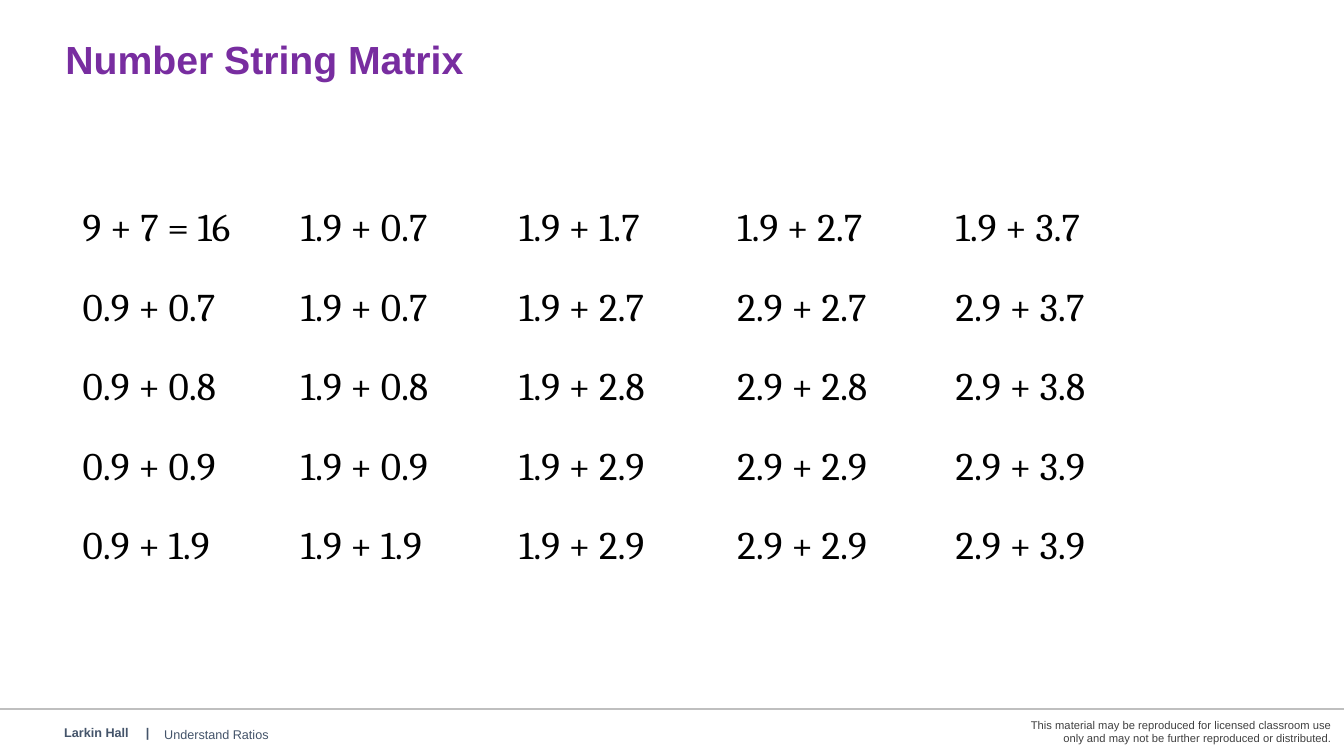
"""Build the Number String Matrix slide."""
import pptx
import pptx.dml.color
import pptx.enum.shapes
import pptx.enum.text
import pptx.util
from lxml import etree

Cm = pptx.util.Cm
Pt = pptx.util.Pt
ALIGN = pptx.enum.text.PP_ALIGN
ANCHOR = pptx.enum.text.MSO_ANCHOR

WIDTH, HEIGHT = 33.87, 19.05
FOOTER_Y = 17.86
TABLE_LEFT, TABLE_TOP = 1.83, 5.08
COLUMN_WIDTH, ROW_HEIGHT = 5.5, 2.0

SUMS = [
    ["9 + 7 = 16", "1.9 + 0.7", "1.9 + 1.7", "1.9 + 2.7", "1.9 + 3.7"],
    ["0.9 + 0.7", "1.9 + 0.7", "1.9 + 2.7", "2.9 + 2.7", "2.9 + 3.7"],
    ["0.9 + 0.8", "1.9 + 0.8", "1.9 + 2.8", "2.9 + 2.8", "2.9 + 3.8"],
    ["0.9 + 0.9", "1.9 + 0.9", "1.9 + 2.9", "2.9 + 2.9", "2.9 + 3.9"],
    ["0.9 + 1.9", "1.9 + 1.9", "1.9 + 2.9", "2.9 + 2.9", "2.9 + 3.9"],
]

FOOTER = dict(size=9, color="44546A")
LICENCE = ("This material may be reproduced for licensed classroom use "
           "only and may not be further reproduced or distributed.")
TEXTS = [
    ("Larkin Hall", (1.37, 18.14, 2.6, 0.91), dict(FOOTER, bold=True)),
    ("|", (3.43, 18.14, 0.6, 0.91), dict(FOOTER, bold=True)),
    ("Understand Ratios", (3.89, 18.19, 13.03, 0.91), FOOTER),
    (LICENCE, (25.17, 17.78, 8.64, 1.32),
     dict(size=8, color="404040", align=ALIGN.RIGHT, anchor=ANCHOR.MIDDLE)),
    ("Number String Matrix", (1.4, 0.89, 10.85, 1.83),
     dict(size=28, color="782DA0", bold=True, spacing=0.9)),
]


def rgb(code):
    return pptx.dml.color.RGBColor.from_string(code)


def write(tf, text, size, color, font="Arial", bold=False,
          align=ALIGN.LEFT, anchor=ANCHOR.TOP, spacing=1.0):
    tf.word_wrap = True
    tf.vertical_anchor = anchor
    p = tf.paragraphs[0]
    p.alignment = align
    p.line_spacing = spacing
    r = p.add_run()
    r.text = text
    r.font.name = font
    r.font.size = Pt(size)
    r.font.bold = bold
    r.font.color.rgb = rgb(color)


def add_rule(s):
    rule = s.shapes.add_connector(
        pptx.enum.shapes.MSO_CONNECTOR.STRAIGHT,
        Cm(0), Cm(FOOTER_Y), Cm(WIDTH), Cm(FOOTER_Y))
    rule.line.color.rgb = rgb("BFBFBF")
    rule.line.width = Pt(1.75)
    etree.SubElement(rule._element.spPr, pptx.oxml.ns.qn("a:effectLst"))


def add_matrix(s):
    rows, cols = len(SUMS), len(SUMS[0])
    table = s.shapes.add_table(
        rows, cols, Cm(TABLE_LEFT), Cm(TABLE_TOP),
        Cm(cols * COLUMN_WIDTH), Cm(rows * ROW_HEIGHT)).table
    table.first_row = False
    table.horz_banding = False
    for row, sums in zip(table.rows, SUMS):
        for cell, text in zip(row.cells, sums):
            cell.fill.background()
            write(cell.text_frame, text, size=28, color="000000", font="Cambria")


def main():
    prs = pptx.Presentation()
    prs.slide_width, prs.slide_height = Cm(WIDTH), Cm(HEIGHT)
    s = prs.slides.add_slide(prs.slide_layouts[6])
    add_rule(s)
    for text, box, style in TEXTS:
        sp = s.shapes.add_textbox(*map(Cm, box))
        write(sp.text_frame, text, **style)
    add_matrix(s)
    prs.save("out.pptx")


if __name__ == "__main__":
    main()
